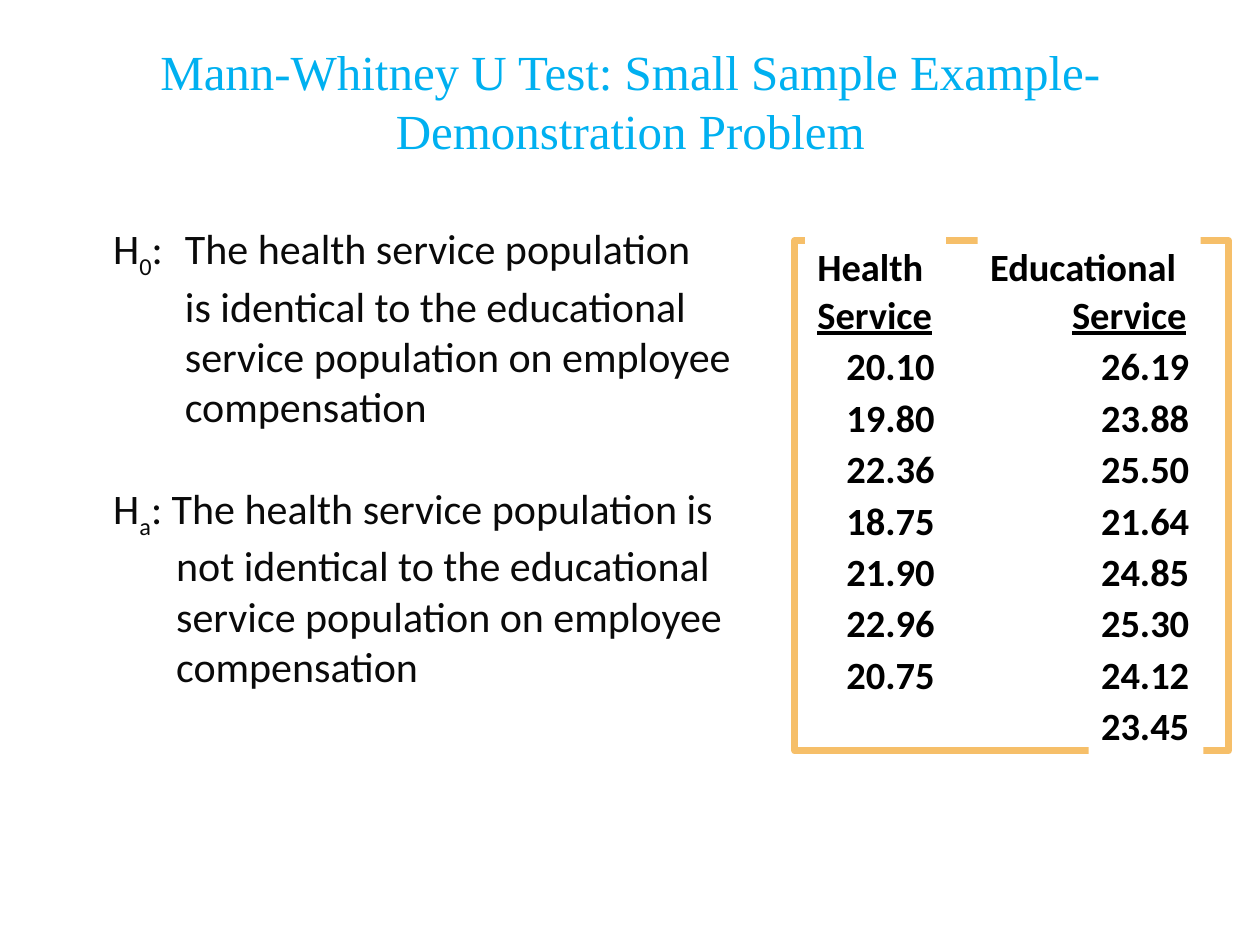
from pptx import Presentation
from pptx.dml.color import RGBColor
from pptx.enum.shapes import MSO_SHAPE
from pptx.enum.text import MSO_ANCHOR, MSO_AUTO_SIZE, PP_ALIGN
from pptx.util import Pt

RECTANGLE = MSO_SHAPE.RECTANGLE
MIDDLE = MSO_ANCHOR.MIDDLE
NO_FIT = MSO_AUTO_SIZE.NONE
FIT_SHAPE = MSO_AUTO_SIZE.SHAPE_TO_FIT_TEXT
CENTER = PP_ALIGN.CENTER

WHITE = RGBColor(0xFF, 0xFF, 0xFF)
BLACK = RGBColor(0x00, 0x00, 0x00)
NEAR_BLACK = RGBColor(0x0A, 0x0A, 0x0A)
SKY_BLUE = RGBColor(0x00, 0xB0, 0xF0)
ORANGE = RGBColor(0xF6, 0xBF, 0x69)

HEADINGS = [
    ("Health", 460, 135.4, 80.6, False),
    ("Educational", 558.7, 135.4, 127.4, False),
    ("Service", 460, 162.7, 80.6, True),
    ("Service", 605.5, 162.7, 80.6, True),
]
HEALTH_PAY = ["20.10", "19.80", "22.36", "18.75", "21.90", "22.96", "20.75"]
EDUCATIONAL_PAY = ["26.19", "23.88", "25.50", "21.64", "24.85", "25.30", "24.12", "23.45"]
PAY_COLUMNS = [(476.6, HEALTH_PAY), (622.1, EDUCATIONAL_PAY)]
FIRST_ROW_TOP = 192.2
ROW_STEP = 29.36
CELL_HEIGHT = 33.8
PAY_WIDTH = 65.5


def place(shape, left, top, width, height):
    shape.left, shape.top = Pt(left), Pt(top)
    shape.width, shape.height = Pt(width), Pt(height)


def style_font(font, name, size, color):
    font.name = name
    font.size = Pt(size)
    font.color.rgb = color


def set_title(slide, text):
    title = slide.shapes.title
    place(title, 30.2, 18, 660, 78.5)
    frame = title.text_frame
    frame.text = text
    frame.auto_size = NO_FIT
    frame.word_wrap = True
    frame.vertical_anchor = MIDDLE
    paragraph = frame.paragraphs[0]
    paragraph.alignment = CENTER
    style_font(paragraph.font, "Times New Roman", 28, SKY_BLUE)


def add_frame(group):
    shape = group.shapes.add_shape(RECTANGLE, Pt(454.3), Pt(137.5), Pt(247.7), Pt(291.6))
    shape.shadow.inherit = False
    shape.fill.solid()
    shape.fill.fore_color.rgb = WHITE
    shape.line.color.rgb = ORANGE
    shape.line.width = Pt(4)


def add_cell(group, text, left, top, width, underline=False):
    cell = group.shapes.add_textbox(Pt(left), Pt(top), Pt(width), Pt(CELL_HEIGHT))
    cell.fill.solid()
    cell.fill.fore_color.rgb = WHITE
    frame = cell.text_frame
    frame.text = text
    frame.word_wrap = False
    frame.auto_size = FIT_SHAPE
    font = frame.paragraphs[0].font
    style_font(font, "Calibri", 22, BLACK)
    font.bold = True
    if underline:
        font.underline = True


def add_samples(slide):
    group = slide.shapes.add_group_shape()
    add_frame(group)
    for text, left, top, width, underline in HEADINGS:
        add_cell(group, text, left, top, width, underline)
    for left, values in PAY_COLUMNS:
        for row, value in enumerate(values):
            add_cell(group, value, left, FIRST_ROW_TOP + row * ROW_STEP, PAY_WIDTH)


def fill_hypothesis(paragraph, subscript, lines, indent):
    style_font(paragraph.font, "Calibri", 24, NEAR_BLACK)
    properties = paragraph._p.get_or_add_pPr()
    properties.set("marL", str(Pt(indent)))
    properties.set("indent", str(-Pt(indent)))
    paragraph.add_run().text = "H"
    run = paragraph.add_run()
    run.text = subscript
    run._r.get_or_add_rPr().set("baseline", "-25000")
    for number, line in enumerate(lines):
        if number:
            paragraph.add_line_break()
        paragraph.add_run().text = line


def add_hypotheses(slide):
    box = slide.shapes.add_textbox(Pt(57.6), Pt(123.8), Pt(391), Pt(268.6))
    frame = box.text_frame
    frame.word_wrap = True
    frame.auto_size = FIT_SHAPE
    fill_hypothesis(
        frame.paragraphs[0],
        "0",
        [
            ":\tThe health service population",
            "is identical to the educational service population on employee compensation",
        ],
        41,
    )
    alternative = frame.add_paragraph()
    alternative.space_before = Pt(29.3)
    fill_hypothesis(
        alternative,
        "a",
        [
            ": The health service population is not identical to the educational "
            "service population on employee compensation"
        ],
        36,
    )


def main():
    presentation = Presentation()
    presentation.slide_width, presentation.slide_height = Pt(720), Pt(540)
    slide = presentation.slides.add_slide(presentation.slide_layouts[5])
    add_samples(slide)
    add_hypotheses(slide)
    set_title(slide, "Mann-Whitney U Test: Small Sample Example-Demonstration Problem")
    presentation.save("out.pptx")


if __name__ == "__main__":
    main()
